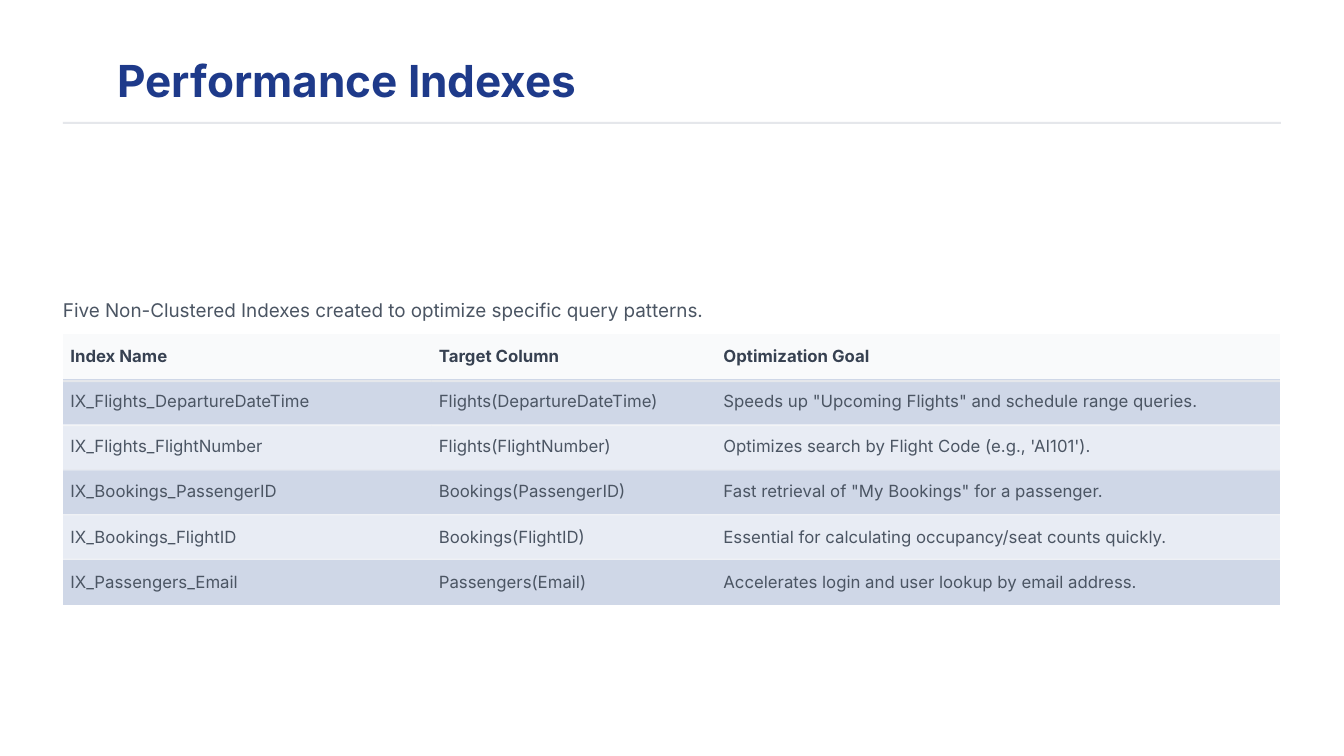
"""Build the Performance Indexes slide."""
import itertools
import math

import lxml.etree
import pptx
import pptx.dml.color
import pptx.enum.shapes
import pptx.enum.text
import pptx.oxml.ns
import pptx.util

RGBColor = pptx.dml.color.RGBColor
NAVY = RGBColor(0x1E, 0x3A, 0x8A)
SLATE = RGBColor(0x37, 0x41, 0x51)
GREY = RGBColor(0x4B, 0x55, 0x63)
RULE_GREY = RGBColor(0xE5, 0xE7, 0xEB)
ROW_RULE_GREY = RGBColor(0xF3, 0xF4, 0xF6)
HEADER_FILL = RGBColor(0xF9, 0xFA, 0xFB)
BAND_FILLS = (RGBColor(0xE8, 0xEC, 0xF4), RGBColor(0xCF, 0xD7, 0xE7))

FONT = "Inter"
EMU_PER_PX = 9525
LEFT = 60
CONTENT_WIDTH = 1160
TABLE_TOP = 318
ROW_HEIGHT = 43
COLUMN_WIDTHS = (351, 271, 537)
HEADER_RULE_TOP = 362
RULE_STEP = 42.5

INDEX_ROWS = (
    ("Index Name", "Target Column", "Optimization Goal"),
    ("IX_Flights_DepartureDateTime", "Flights(DepartureDateTime)",
     'Speeds up "Upcoming Flights" and schedule range queries.'),
    ("IX_Flights_FlightNumber", "Flights(FlightNumber)",
     "Optimizes search by Flight Code (e.g., 'AI101')."),
    ("IX_Bookings_PassengerID", "Bookings(PassengerID)",
     'Fast retrieval of "My Bookings" for a passenger.'),
    ("IX_Bookings_FlightID", "Bookings(FlightID)",
     "Essential for calculating occupancy/seat counts quickly."),
    ("IX_Passengers_Email", "Passengers(Email)",
     "Accelerates login and user lookup by email address."),
)


def px(*lengths):
    """Turn pixel lengths into EMU."""
    return [pptx.util.Emu(length * EMU_PER_PX) for length in lengths]


def format_text(text_frame, size, color, bold=False):
    """Set the font of every run and align the text left."""
    for paragraph in text_frame.paragraphs:
        paragraph.alignment = pptx.enum.text.PP_ALIGN.LEFT
        for run in paragraph.runs:
            run.font.name = FONT
            run.font.size = pptx.util.Pt(size)
            run.font.bold = bold
            run.font.color.rgb = color


def set_frame(text_frame, anchor):
    """Give a text frame no insets, wrapping and a growing box."""
    text_frame.margin_left = text_frame.margin_right = 0
    text_frame.margin_top = text_frame.margin_bottom = 0
    text_frame.word_wrap = True
    text_frame.auto_size = pptx.enum.text.MSO_AUTO_SIZE.SHAPE_TO_FIT_TEXT
    text_frame.vertical_anchor = anchor


def set_title(slide, text):
    """Place and format the title placeholder."""
    title = slide.shapes.title
    title.left, title.top, title.width, title.height = px(112, 50, 1163, 53)
    title.text_frame.text = text
    set_frame(title.text_frame, pptx.enum.text.MSO_ANCHOR.MIDDLE)
    format_text(title.text_frame, 31.5, NAVY, bold=True)


def add_intro(slide, text):
    """Add the sentence above the table."""
    text_frame = slide.shapes.add_textbox(*px(LEFT, 271, CONTENT_WIDTH, 29)).text_frame
    text_frame.text = text
    set_frame(text_frame, pptx.enum.text.MSO_ANCHOR.TOP)
    text_frame.paragraphs[0].line_spacing = 1.6
    format_text(text_frame, 13.5, GREY)


def add_rule(slide, left, top, width, height, color):
    """Add a thin filled bar."""
    rule = slide.shapes.add_shape(
        pptx.enum.shapes.MSO_SHAPE.RECTANGLE, *px(left, top, width, height))
    rule.shadow.inherit = False
    rule.fill.solid()
    rule.fill.fore_color.rgb = color
    rule.line.fill.background()


def clear_borders(cell):
    """Remove the four borders of a cell."""
    properties = cell._tc.get_or_add_tcPr()
    for side in ("a:lnL", "a:lnR", "a:lnT", "a:lnB"):
        border = lxml.etree.SubElement(properties, pptx.oxml.ns.qn(side))
        lxml.etree.SubElement(border, pptx.oxml.ns.qn("a:noFill"))


def fill_cell(cell, text, row):
    """Write and format one table cell."""
    is_header = row == 0
    cell.text_frame.text = text
    cell.vertical_anchor = pptx.enum.text.MSO_ANCHOR.MIDDLE
    cell.margin_left, cell.margin_right = px(7, 7)
    cell.margin_top, cell.margin_bottom = px(3, 3)
    clear_borders(cell)
    cell.fill.solid()
    cell.fill.fore_color.rgb = HEADER_FILL if is_header else BAND_FILLS[row % 2]
    format_text(cell.text_frame, 12, SLATE if is_header else GREY, bold=is_header)


def add_index_table(slide):
    """Add the table of indexes."""
    row_count = len(INDEX_ROWS)
    table = slide.shapes.add_table(
        row_count, len(COLUMN_WIDTHS),
        *px(LEFT, TABLE_TOP, sum(COLUMN_WIDTHS), ROW_HEIGHT * row_count)).table
    for column, width in zip(table.columns, px(*COLUMN_WIDTHS)):
        column.width = width
    for row, texts in enumerate(INDEX_ROWS):
        table.rows[row].height = px(ROW_HEIGHT)[0]
        for column, text in enumerate(texts):
            fill_cell(table.cell(row, column), text, row)


def add_row_rules(slide):
    """Add a rule under each cell except those of the last row."""
    lefts = itertools.accumulate(COLUMN_WIDTHS[:-1], initial=LEFT)
    columns = list(zip(lefts, COLUMN_WIDTHS))
    for row in range(len(INDEX_ROWS) - 1):
        top = HEADER_RULE_TOP + math.ceil(RULE_STEP * row)
        height, color = (1, ROW_RULE_GREY) if row else (2, RULE_GREY)
        for left, width in columns:
            add_rule(slide, left, top, width, height, color)


def main():
    """Build and save the presentation."""
    presentation = pptx.Presentation()
    presentation.slide_width, presentation.slide_height = px(1280, 720)
    slide = presentation.slides.add_slide(
        presentation.slide_layouts.get_by_name("Title Only"))
    set_title(slide, "Performance Indexes")
    add_rule(slide, LEFT, 116, CONTENT_WIDTH, 2, RULE_GREY)
    add_intro(slide, "Five Non-Clustered Indexes created to optimize specific query patterns.")
    add_index_table(slide)
    add_row_rules(slide)
    presentation.save("out.pptx")


if __name__ == "__main__":
    main()
